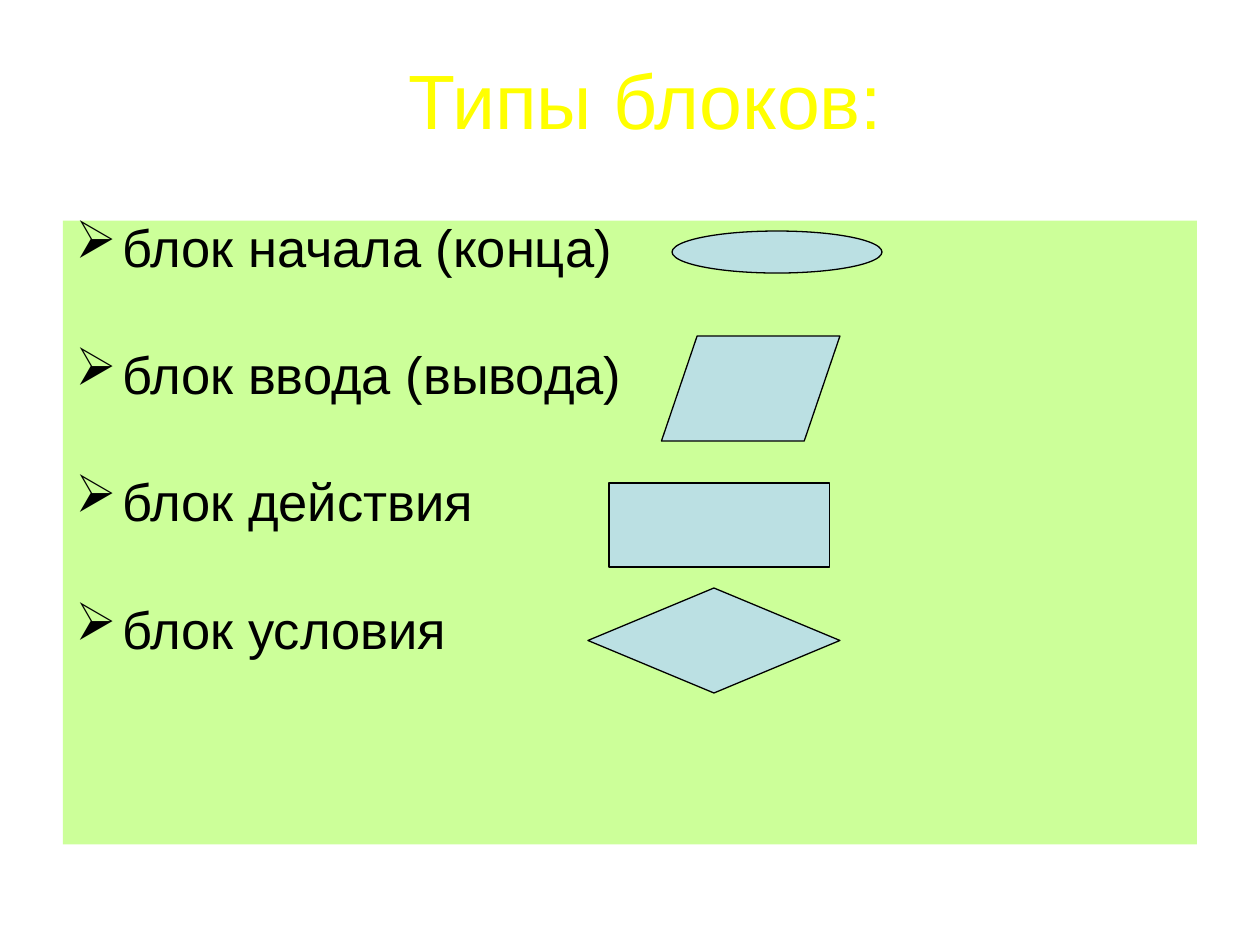
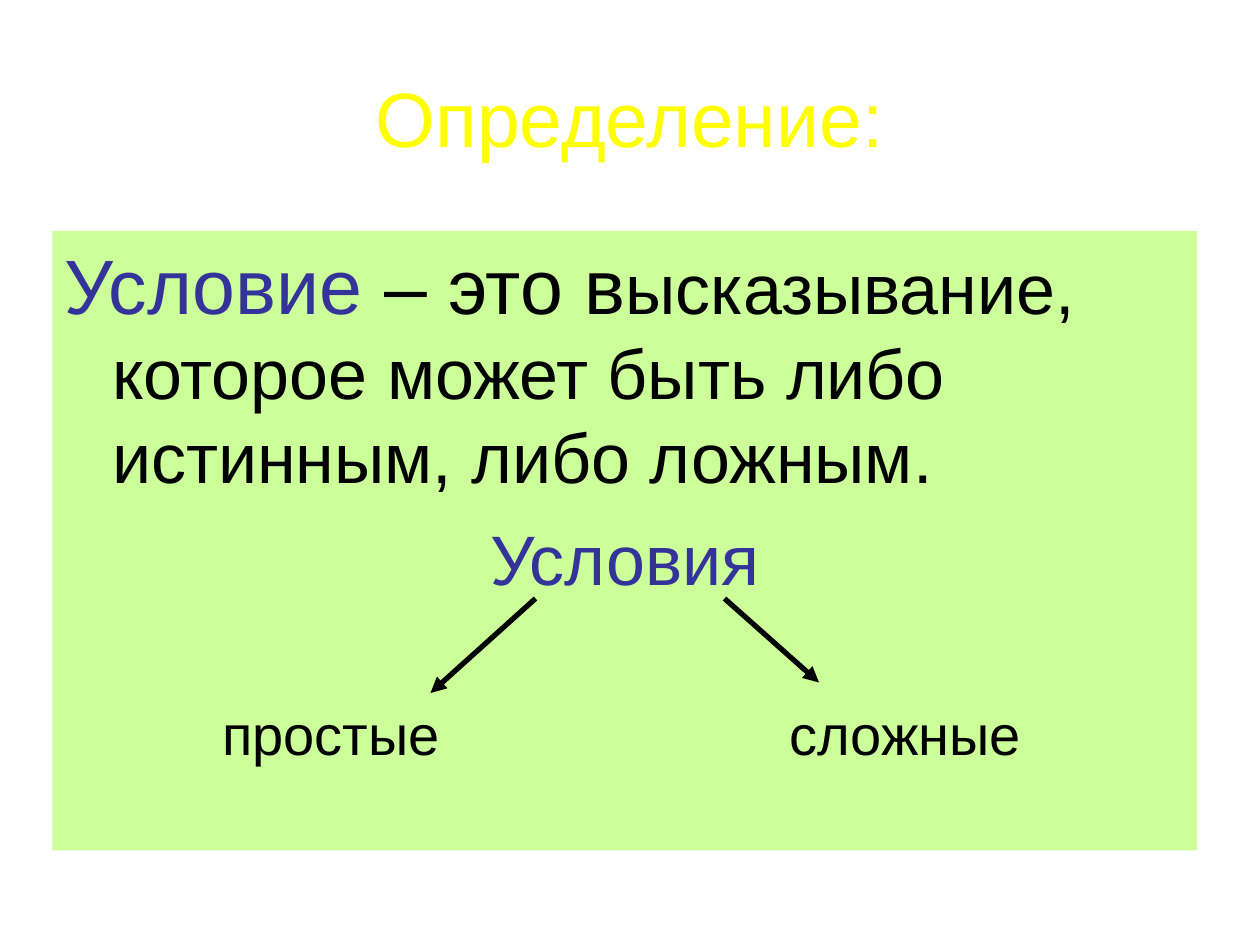
from lxml.etree import SubElement
from pptx import Presentation
from pptx.dml.color import RGBColor
from pptx.enum.shapes import MSO_CONNECTOR, MSO_SHAPE
from pptx.enum.text import MSO_ANCHOR, MSO_AUTO_SIZE, PP_ALIGN
from pptx.oxml.ns import qn
from pptx.util import Pt

FONT = "Arial"
HUES = {
    "title": "FFFF00",
    "panel": "CCFF99",
    "block": "BBE0E3",
    "term": "333399",
    "ink": "000000",
}


def hue(name):
    return RGBColor.from_string(HUES[name])


def place(box):
    return [Pt(n) for n in box]


def write(par, text, size=30, color="ink", align=None, hang=0, bullet=None,
          before=0, line=None):
    """Add a run to a paragraph and set the paragraph's layout."""
    par.space_before = Pt(before)
    if align is not None:
        par.alignment = align
    if line:
        par.line_spacing = line
    props = par._p.get_or_add_pPr()
    if hang:
        props.set("marL", str(Pt(hang)))
        props.set("indent", str(-Pt(hang)))
    if bullet:
        tint = SubElement(props, qn("a:buClr"))
        SubElement(tint, qn("a:srgbClr"), val=HUES["ink"])
        SubElement(props, qn("a:buChar"), char=bullet)
    run = par.add_run()
    run.text = text
    run.font.name = FONT
    run.font.size = Pt(size)
    run.font.color.rgb = hue(color)


class Deck:
    def __init__(self):
        self.show = Presentation()
        self.show.slide_width = Pt(720)
        self.show.slide_height = Pt(540)
        self.slide = None

    def start(self, title, box):
        """Open a new slide with its title."""
        self.slide = self.show.slides.add_slide(self.show.slide_layouts[5])
        head = self.slide.shapes.title
        head.left, head.top, head.width, head.height = place(box)
        frame = head.text_frame
        frame.auto_size = MSO_AUTO_SIZE.NONE
        frame.vertical_anchor = MSO_ANCHOR.MIDDLE
        write(frame.paragraphs[0], title, size=44, color="title",
              align=PP_ALIGN.CENTER)

    def text(self, box, fill=None):
        item = self.slide.shapes.add_textbox(*place(box))
        if fill:
            item.fill.solid()
            item.fill.fore_color.rgb = hue(fill)
        item.text_frame.word_wrap = True
        return item.text_frame

    def block(self, kind, box):
        item = self.slide.shapes.add_shape(kind, *place(box))
        item.shadow.inherit = False
        item.fill.solid()
        item.fill.fore_color.rgb = hue("block")
        item.line.color.rgb = hue("ink")
        item.line.width = Pt(0.75)

    def arrow(self, *ends):
        item = self.slide.shapes.add_connector(MSO_CONNECTOR.STRAIGHT,
                                               *place(ends))
        item.line.color.rgb = hue("ink")
        item.line.width = Pt(3)
        SubElement(item.line._get_or_add_ln(), qn("a:tailEnd"),
                   type="triangle")
        SubElement(item._element.spPr, qn("a:effectLst"))


def show_types(deck):
    deck.start("Типы блоков:", (18, 0, 702, 113))
    frame = deck.text((36, 126, 648, 356.5), fill="panel")
    rows = [
        ("блок начала (конца)", MSO_SHAPE.OVAL, (384, 132, 120, 24)),
        ("блок ввода (вывода)", MSO_SHAPE.FLOWCHART_DATA,
         (378, 192, 102, 60)),
        ("блок действия", MSO_SHAPE.FLOWCHART_PROCESS, (348, 276, 126, 48)),
        ("блок условия", MSO_SHAPE.FLOWCHART_DECISION, (336, 336, 144, 60)),
    ]
    for i, (label, kind, box) in enumerate(rows):
        par = frame.add_paragraph() if i else frame.paragraphs[0]
        write(par, label, hang=27, bullet="➢", line=0.8,
              before=44 if i else 0)
        deck.block(kind, box)


def show_terms(deck):
    deck.start("Определение:", (36, 21.5, 648, 90))
    frame = deck.text((30, 132, 654, 354), fill="panel")
    par = frame.paragraphs[0]
    for text, size, color in [
        ("Условие ", 44, "term"),
        ("– это в", 44, "ink"),
        ("ысказывание, которое может быть либо истинным, либо ложным.",
         40, "ink"),
    ]:
        write(par, text, size=size, color=color, hang=27)
    write(frame.add_paragraph(), "Условия", size=40, color="term",
          align=PP_ALIGN.CENTER, hang=27, before=10)
    deck.arrow(414, 342, 468, 390)
    deck.arrow(306, 342, 246, 396)
    for label, left, width in [("простые", 120, 144), ("сложные", 444, 198)]:
        frame = deck.text((left, 396, width, 46))
        write(frame.paragraphs[0], label, size=32)


def main():
    deck = Deck()
    show_types(deck)
    show_terms(deck)
    deck.show.save("out.pptx")


if __name__ == "__main__":
    main()
